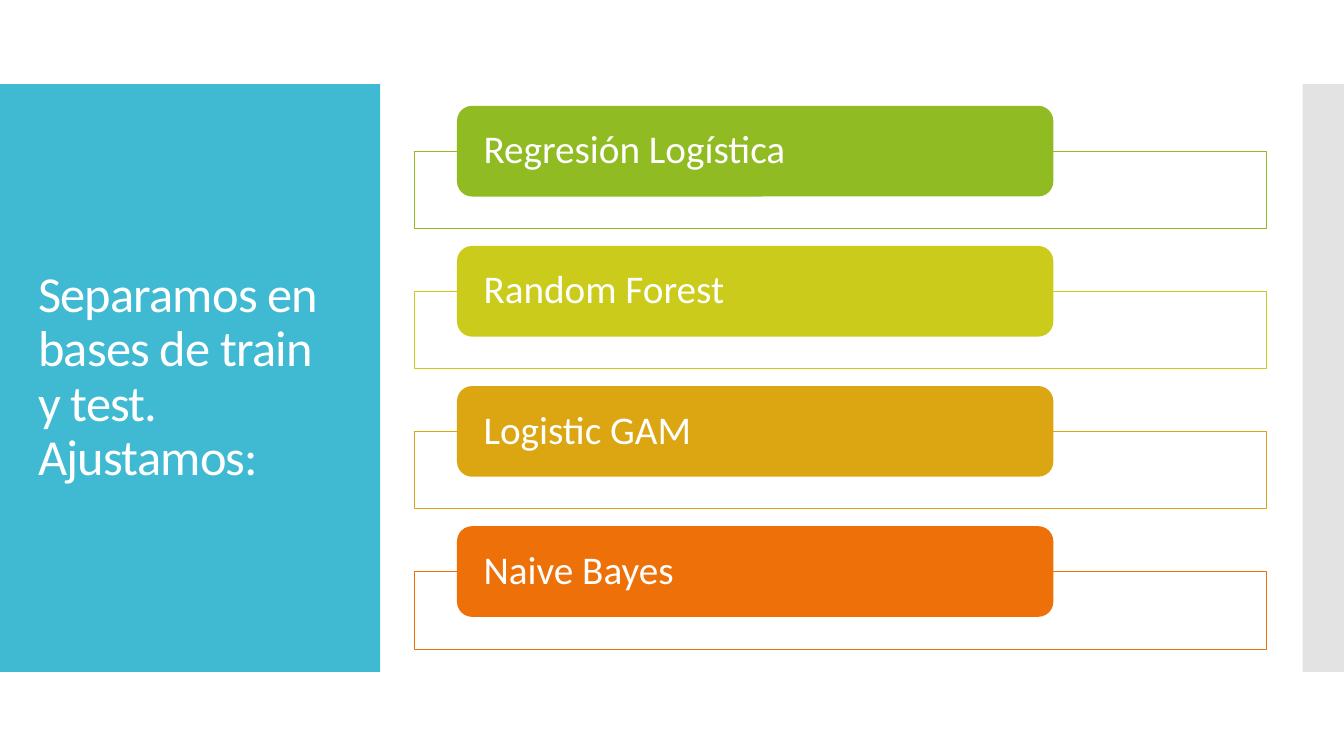
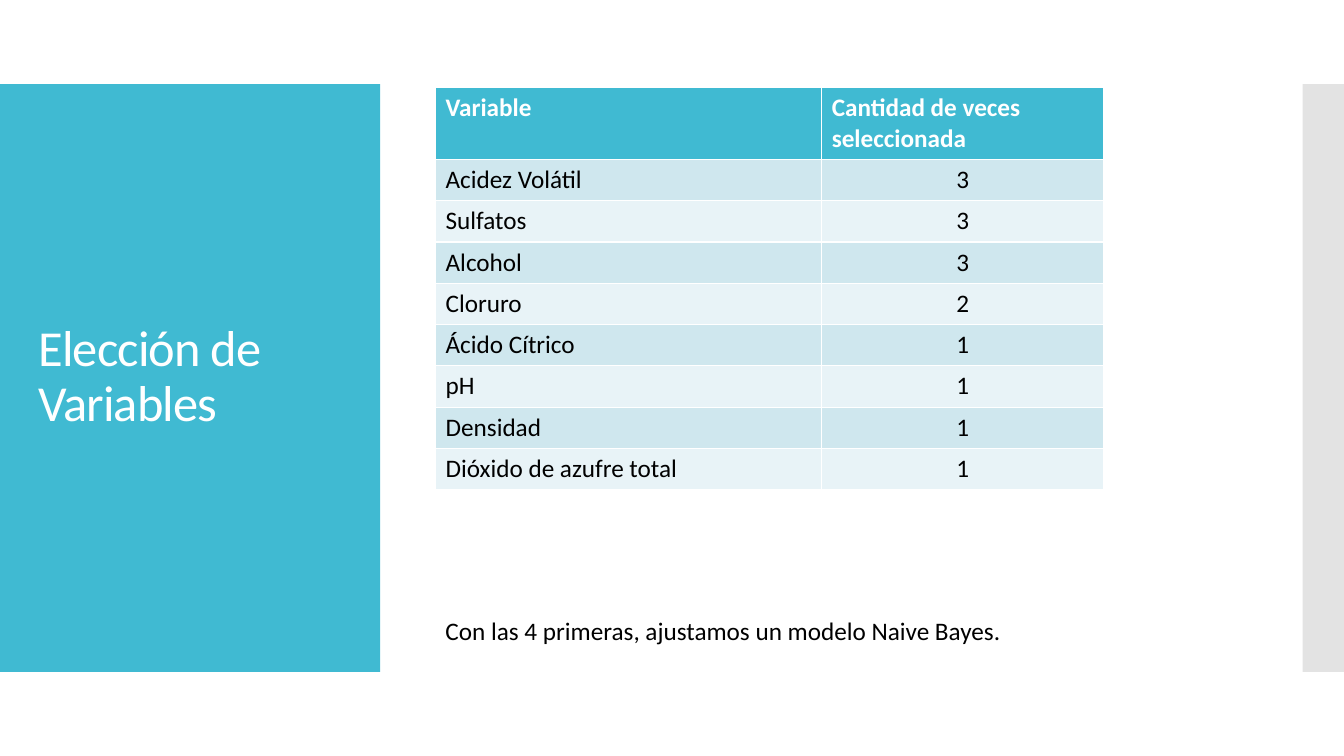
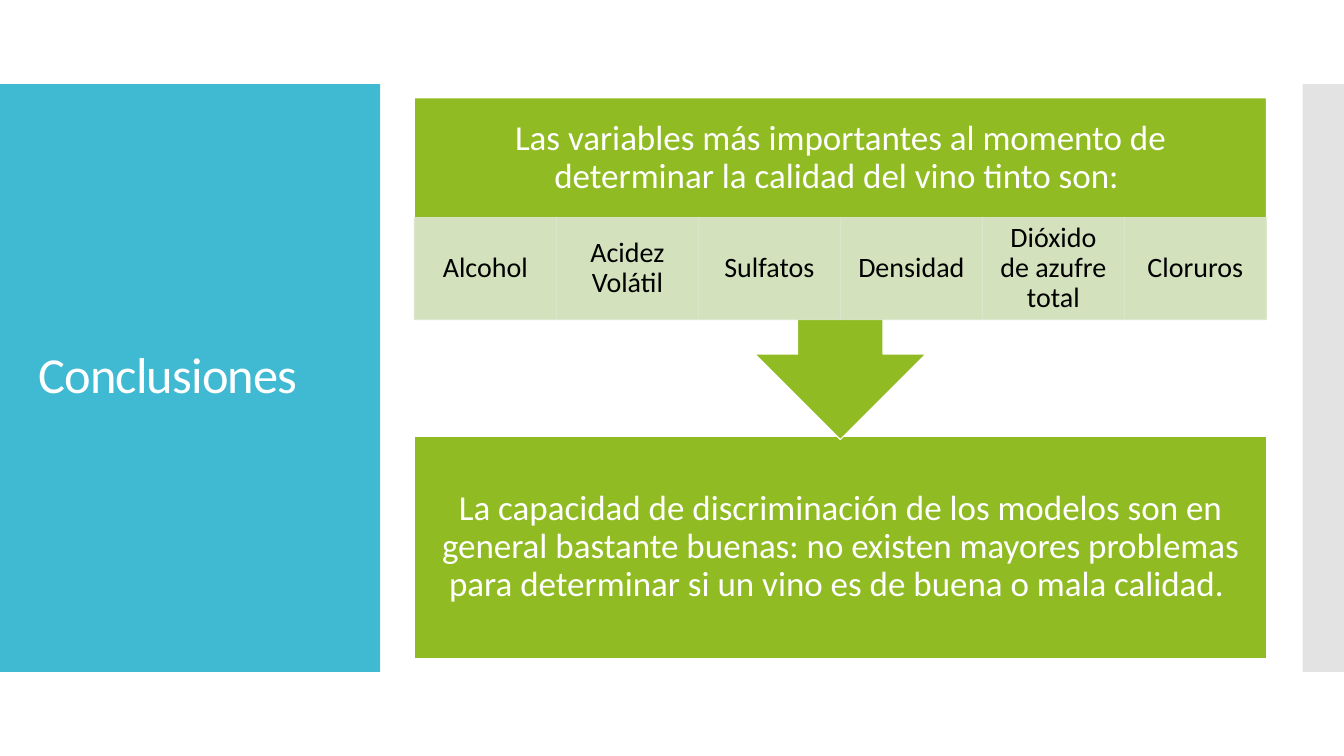
import pptx
import pptx.dml.color
import pptx.enum.shapes
import pptx.enum.text
import pptx.oxml.ns
import pptx.util
from lxml import etree

Inches = pptx.util.Inches
SHAPE = pptx.enum.shapes.MSO_SHAPE
CENTER = pptx.enum.text.PP_ALIGN.CENTER
LEFT = pptx.enum.text.PP_ALIGN.LEFT
MIDDLE = pptx.enum.text.MSO_ANCHOR.MIDDLE

FONT = "Calibri"
TEAL, GRAY, WHITE, BLACK = "40BAD2", "C8C8C8", "FFFFFF", "000000"
GREEN, LIME, GOLD, ORANGE = "90BB23", "CACB1B", "DCA512", "EE7008"
PALE_GREEN, ROW_TINTS = "DBE7CD", ["CFE7EE", "E8F3F7"]

SLIDE_WIDTH, SLIDE_HEIGHT = 13.33, 7.5
BAND_TOP, BAND_HEIGHT = SLIDE_HEIGHT / 9, SLIDE_HEIGHT * 7 / 9
CONTENT_LEFT, CONTENT_WIDTH = 4.11, 8.45
TABLE_LEFT, TABLE_WIDTH = 4.32, 6.64


def paint(fill, color, opacity=100):
    """Make a fill solid in a hex colour, with opacity in percent."""
    fill.solid()
    fill.fore_color.rgb = pptx.dml.color.RGBColor.from_string(color)
    if opacity < 100:
        color_element = fill._xPr.find(pptx.oxml.ns.qn("a:solidFill"))[0]
        alpha = etree.SubElement(color_element, pptx.oxml.ns.qn("a:alpha"))
        alpha.set("val", str(opacity * 1000))


def write(frame, text, size, color, align=LEFT, anchor=None, insets=None,
          bold=False, line_spacing=None, tracking=None):
    """Put one formatted paragraph in a text frame; insets run left, top, right, bottom."""
    frame.word_wrap = True
    if anchor is not None:
        frame.vertical_anchor = anchor
    if insets:
        (frame.margin_left, frame.margin_top,
         frame.margin_right, frame.margin_bottom) = map(Inches, insets)
    paragraph = frame.paragraphs[0]
    paragraph.alignment = align
    if line_spacing:
        paragraph.line_spacing = line_spacing
    run = paragraph.add_run()
    run.text = text
    run.font.name, run.font.size, run.font.bold = FONT, pptx.util.Pt(size), bold
    paint(run.font.fill, color)
    if tracking:
        run.font._element.set("spc", str(tracking))


presentation = pptx.Presentation()
presentation.slide_width = Inches(SLIDE_WIDTH)
presentation.slide_height = Inches(SLIDE_HEIGHT)
layout = presentation.slide_layouts[5]

# Titles
slides = []
for title_text in ("Separamos en bases de train y test. Ajustamos: ",
                   "Elección de Variables", "Conclusiones"):
    slide = presentation.slides.add_slide(layout)
    title = slide.shapes.title
    title.left, title.top, title.width, title.height = map(Inches, (0.28, 1.23, 3.22, 5.03))
    title.text_frame.auto_size = pptx.enum.text.MSO_AUTO_SIZE.NONE
    write(title.text_frame, title_text, 36, WHITE, anchor=MIDDLE,
          line_spacing=0.9, tracking=-60)
    slides.append(slide)
models_slide, variables_slide, conclusions_slide = slides

# Side bands, moved into the layout that all slides share
for left, width, color, opacity in ((0, 3.77, TEAL, 100), (12.92, 0.41, GRAY, 50)):
    band = models_slide.shapes.add_shape(
        SHAPE.RECTANGLE, *map(Inches, (left, BAND_TOP, width, BAND_HEIGHT)))
    paint(band.fill, color, opacity)
    band.line.fill.background()
    band.shadow.inherit = False
    layout.shapes.element.insert(2, band.element)

# Models
MODEL_TOP, MODEL_PITCH = 1.05, 1.39
models = [("Regresión Logística", GREEN), ("Random Forest", LIME),
          ("Logistic GAM", GOLD), ("Naive Bayes", ORANGE)]
for row, (model, color) in enumerate(models):
    top = MODEL_TOP + row * MODEL_PITCH
    outline = models_slide.shapes.add_shape(
        SHAPE.RECTANGLE, *map(Inches, (CONTENT_LEFT, top + 0.45, CONTENT_WIDTH, 0.77)))
    paint(outline.fill, WHITE, 90)
    paint(outline.line.fill, color)
    outline.line.width = pptx.util.Pt(0.75)
    label = models_slide.shapes.add_shape(
        SHAPE.ROUNDED_RECTANGLE,
        *map(Inches, (CONTENT_LEFT + CONTENT_WIDTH / 20, top, CONTENT_WIDTH * 0.7, 0.9)))
    paint(label.fill, color)
    label.line.fill.background()
    write(label.text_frame, model, 28, WHITE, anchor=MIDDLE,
          insets=(0.22, 0, 0.22, 0), line_spacing=0.9)

# Variable selection
selections = [("Variable", "Cantidad de veces seleccionada"),
              ("Acidez Volátil", "3"), ("Sulfatos", "3"), ("Alcohol", "3"),
              ("Cloruro", "2"), ("Ácido Cítrico", "1"), ("pH", "1"),
              ("Densidad", "1"), ("Dióxido de azufre total", "1")]
ROW_HEIGHT = 0.41
table = variables_slide.shapes.add_table(
    len(selections), 2, *map(Inches, (TABLE_LEFT, 0.87, TABLE_WIDTH,
                                      ROW_HEIGHT * len(selections)))).table
for column, width in zip(table.columns, (3.83, 2.8)):
    column.width = Inches(width)
for row, values in enumerate(selections):
    table.rows[row].height = Inches(ROW_HEIGHT)
    header = row == 0
    for column, value in enumerate(values):
        cell = table.cell(row, column)
        paint(cell.fill, TEAL if header else ROW_TINTS[(row - 1) % 2])
        write(cell.text_frame, value, 18, WHITE if header else BLACK, bold=header,
              align=CENTER if column and not header else LEFT)

remark = variables_slide.shapes.add_textbox(
    *map(Inches, (TABLE_LEFT, 6.06, TABLE_WIDTH, 0.4)))
write(remark.text_frame, "Con las 4 primeras, ajustamos un modelo Naive Bayes.", 18, BLACK)

# Conclusions
VARIABLE_TOP, VARIABLE_HEIGHT, PADDING = 2.16, 1.01, 0.19
statements = [
    (SHAPE.RECTANGLE, 4.33, 2.2, PADDING,
     "La capacidad de discriminación de los modelos son en general bastante buenas: "
     "no existen mayores problemas para determinar si un vino es de buena o mala calidad. "),
    (SHAPE.DOWN_ARROW_CALLOUT, 0.97, 3.39, PADDING + VARIABLE_HEIGHT,
     "Las variables más importantes al momento de determinar la calidad del vino tinto son: "),
]
for kind, top, height, bottom_inset, text in statements:
    statement = conclusions_slide.shapes.add_shape(
        kind, *map(Inches, (CONTENT_LEFT, top, CONTENT_WIDTH, height)))
    paint(statement.fill, GREEN)
    paint(statement.line.fill, WHITE)
    statement.line.width = pptx.util.Pt(0.85)
    write(statement.text_frame, text, 25, WHITE, align=CENTER, anchor=MIDDLE,
          insets=(PADDING, PADDING, PADDING, bottom_inset), line_spacing=0.9)

variables = ["Alcohol", "Acidez Volátil", "Sulfatos", "Densidad",
             "Dióxido de azufre total", "Cloruros"]
variable_width = CONTENT_WIDTH / len(variables)
for column, variable in enumerate(variables):
    box = conclusions_slide.shapes.add_shape(
        SHAPE.RECTANGLE, *map(Inches, (CONTENT_LEFT + column * variable_width, VARIABLE_TOP,
                                       variable_width, VARIABLE_HEIGHT)))
    paint(box.fill, PALE_GREEN, 90)
    paint(box.line.fill, PALE_GREEN, 90)
    box.line.width = pptx.util.Pt(0.85)
    write(box.text_frame, variable, 20, BLACK, align=CENTER, anchor=MIDDLE,
          insets=(0.16, 0.03, 0.16, 0.03), line_spacing=0.9)

for slide in slides:
    for shape in slide.shapes:
        if shape.shape_type == pptx.enum.shapes.MSO_SHAPE_TYPE.AUTO_SHAPE:
            shape.shadow.inherit = False

presentation.save("out.pptx")
